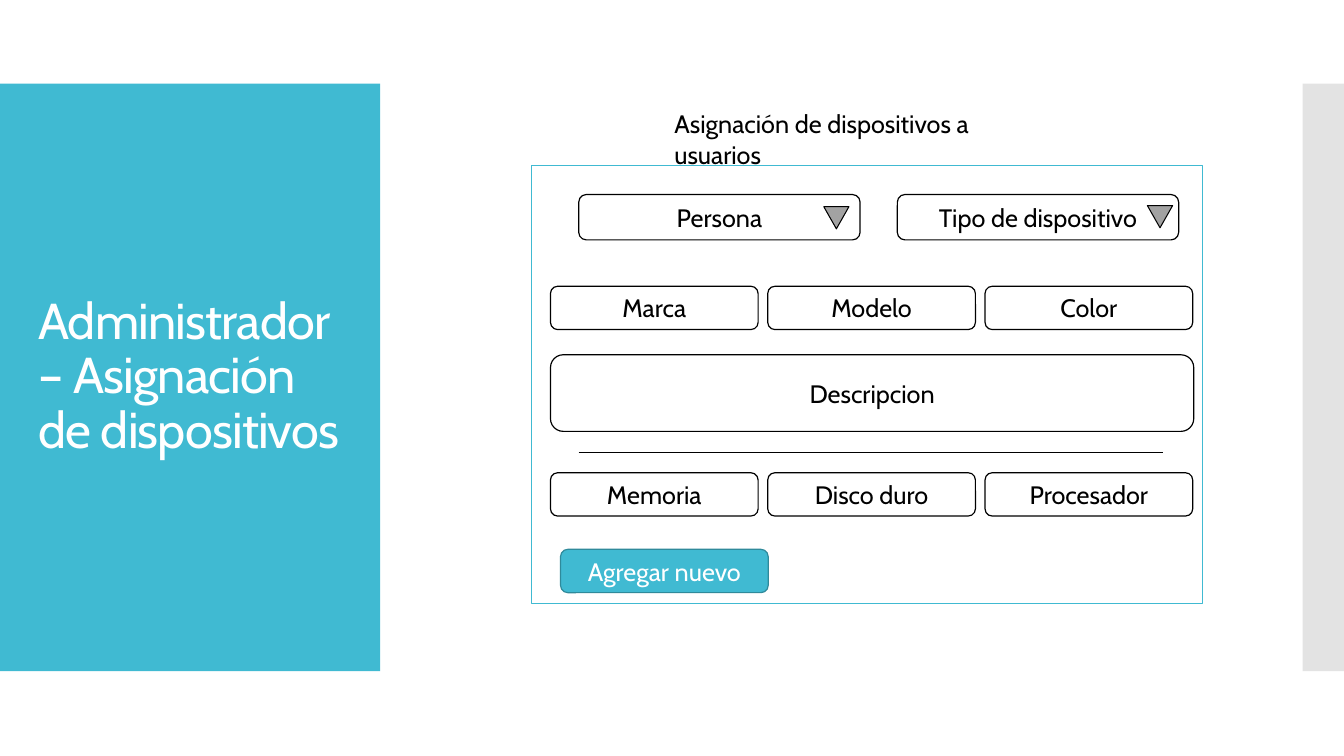
from lxml import etree
from pptx import Presentation
from pptx.dml.color import RGBColor
from pptx.enum import shapes, text
from pptx.oxml.ns import qn
from pptx.util import Inches, Pt

FONT = "Cabin"
TEAL, DARK_TEAL, GREY, ARROW_GREY = "40BAD2", "2F8A9B", "C8C8C8", "A2A2A2"
WHITE, BLACK = "FFFFFF", "000000"

TITLE = "Administrador – Asignación de dispositivos"
HEADING = "Asignación de dispositivos a usuarios"
DROPDOWNS = [("Persona", 5.74, (8.17, 2.05)),
             ("Tipo de dispositivo", 8.9, (11.38, 2.04))]
FIELD_ROWS = [(2.84, ["Marca", "Modelo", "Color"]),
              (4.69, ["Memoria", "Disco duro", "Procesador"])]
DESCRIPTION = "Descripcion"
BUTTON = "Agregar nuevo"

FIELD_LEFT, FIELD_STEP = 5.46, 2.155
FIELD_WIDTH, FIELD_HEIGHT = 2.06, 0.43

RECTANGLE = shapes.MSO_SHAPE.RECTANGLE
ROUNDED = shapes.MSO_SHAPE.ROUNDED_RECTANGLE
TRIANGLE = shapes.MSO_SHAPE.ISOSCELES_TRIANGLE


def rgb(value):
    return RGBColor.from_string(value)


def write(shape, words, color=BLACK, size=18, **paragraph_format):
    frame = shape.text_frame
    frame.word_wrap = True
    paragraph = frame.paragraphs[0]
    for name, value in paragraph_format.items():
        setattr(paragraph, name, value)
    run = paragraph.add_run()
    run.text = words
    for name, value in {"name": FONT, "size": Pt(size)}.items():
        setattr(run.font, name, value)
    run.font.color.rgb = rgb(color)
    return run


def add_box(slide, kind, place, fill=WHITE, line=None, line_width=0.85):
    shape = slide.shapes.add_shape(kind, *map(Inches, place))
    shape.shadow.inherit = False
    shape.fill.solid()
    shape.fill.fore_color.rgb = rgb(fill)
    if line:
        shape.line.color.rgb = rgb(line)
        shape.line.width = Pt(line_width)
    else:
        shape.line.fill.background()
    return shape


def add_field(slide, words, place, fill=WHITE, line=BLACK, color=BLACK):
    field = add_box(slide, ROUNDED, place, fill, line)
    field.text_frame.vertical_anchor = text.MSO_ANCHOR.MIDDLE
    write(field, words, color, alignment=text.PP_ALIGN.CENTER)


def add_side_bands(slide):
    add_box(slide, RECTANGLE, (0, 0.83, 3.77, 5.83), TEAL)
    right_band = add_box(slide, RECTANGLE, (12.92, 0.83, 0.41, 5.83), GREY)
    color = right_band.element.spPr.find(qn("a:solidFill"))[0]
    etree.SubElement(color, qn("a:alpha")).set("val", "50000")


def add_title(slide):
    title = slide.shapes.title
    slide.shapes.element.append(title.element)  # in front of the side band
    place = {"left": 0.28, "top": 1.23, "width": 3.22, "height": 5.03}
    for name, value in place.items():
        setattr(title, name, Inches(value))
    title.text_frame.auto_size = text.MSO_AUTO_SIZE.NONE
    title.text_frame.vertical_anchor = text.MSO_ANCHOR.MIDDLE
    run = write(title, TITLE, WHITE, 36, line_spacing=0.9,
                alignment=text.PP_ALIGN.LEFT)
    run.font.element.set("spc", "-60") if hasattr(run.font, "element") else \
        run.text and run.font._element.set("spc", "-60")


def add_divider(slide):
    divider = slide.shapes.add_connector(
        shapes.MSO_CONNECTOR.STRAIGHT,
        *map(Inches, (5.74, 4.49, 11.53, 4.49)))
    divider.line.color.rgb = rgb(BLACK)
    divider.line.width = Pt(0.75)
    etree.SubElement(divider.element.spPr, qn("a:effectLst"))


def add_form(slide):
    add_box(slide, RECTANGLE, (5.27, 1.64, 6.66, 4.35), WHITE, TEAL)
    heading = slide.shapes.add_textbox(
        *map(Inches, (6.59, 1.03, 4, 0.4)))
    write(heading, HEADING)

    for words, left, arrow_corner in DROPDOWNS:
        add_field(slide, words, (left, 1.93, 2.79, 0.45))
        arrow = add_box(slide, TRIANGLE, (*arrow_corner, 0.25, 0.22),
                        ARROW_GREY, BLACK, 0.75)
        arrow.rotation = 180

    for top, names in FIELD_ROWS:
        for column, words in enumerate(names):
            left = FIELD_LEFT + column * FIELD_STEP
            add_field(slide, words, (left, top, FIELD_WIDTH, FIELD_HEIGHT))

    add_field(slide, DESCRIPTION, (FIELD_LEFT, 3.52, 6.38, 0.76))
    add_divider(slide)
    add_field(slide, BUTTON, (5.56, 5.45, FIELD_WIDTH, FIELD_HEIGHT),
              TEAL, DARK_TEAL, WHITE)


def main():
    presentation = Presentation()
    presentation.slide_width = Inches(13.33)
    presentation.slide_height = Inches(7.5)
    slide = presentation.slides.add_slide(presentation.slide_layouts[5])
    add_side_bands(slide)
    add_title(slide)
    add_form(slide)
    presentation.save("out.pptx")


if __name__ == "__main__":
    main()
